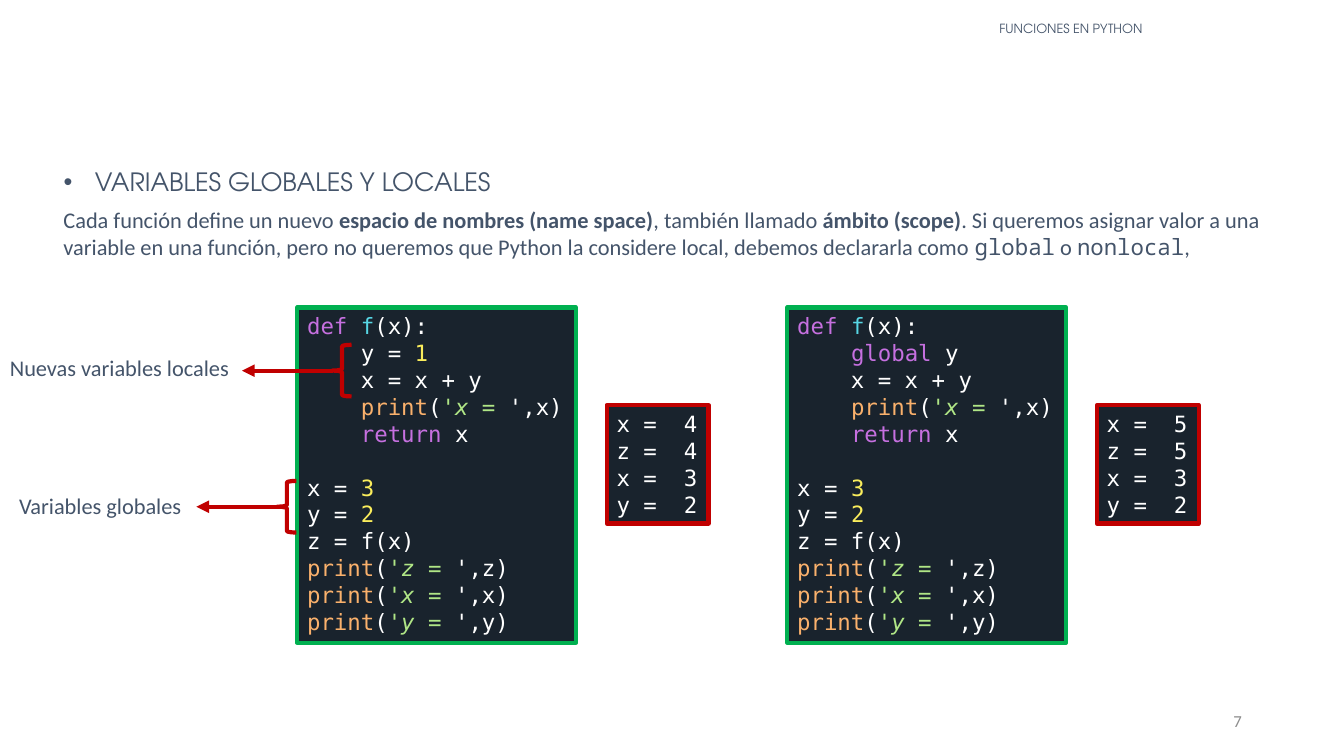
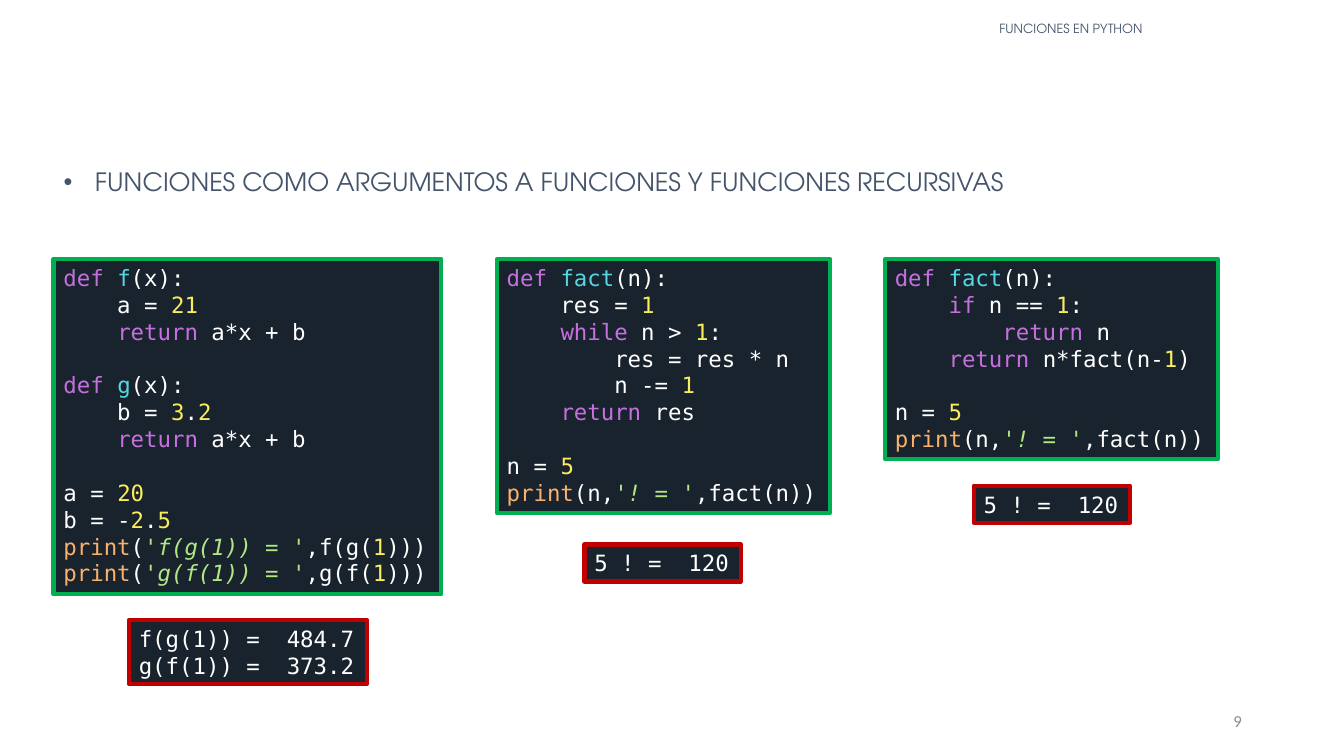
from lxml.etree import SubElement
from pptx import Presentation
from pptx.dml.color import RGBColor
from pptx.enum.shapes import MSO_CONNECTOR as Connector, MSO_SHAPE as Shape
from pptx.enum.text import MSO_ANCHOR as Anchor, MSO_AUTO_SIZE as AutoSize, PP_ALIGN as Align
from pptx.oxml.ns import qn
from pptx.util import Cm, Pt

COLORS = {
    "slate": "44546A", "gray": "8C8C8C", "night": "19232D", "white": "FFFFFF",
    "green": "00B050", "red": "C00000", "violet": "C670E0", "cyan": "57D6E4",
    "yellow": "FAED5C", "orange": "FAB16C", "lime": "B0E686",
}
HEADING, BODY, CODE = "TeX Gyre Adventor", "Calibri", "DejaVu Sans Mono"
STYLES = {
    "header": (HEADING, 9, "slate", False, False),
    "title": (HEADING, 18, "slate", False, False),
    "body": (BODY, 16, "slate", False, False),
    "strong": (BODY, 16, "slate", True, False),
    "mono": ("Noto Sans Mono", 16, "slate", False, False),
    "number": (BODY, 12, "gray", False, False),
    "w": (CODE, 16, "white", False, False),
    "k": (CODE, 16, "violet", False, False),
    "f": (CODE, 16, "cyan", False, False),
    "n": (CODE, 16, "yellow", False, False),
    "p": (CODE, 16, "orange", False, False),
    "s": (CODE, 16, "lime", False, True),
    "q": (CODE, 16, "white", False, True),
}
CHAR_WIDTH, LINE_HEIGHT = 0.343, 0.683
BLANK_LINE = Pt(19.2)


def write(frame, lines, align=Align.LEFT, wrap=True, anchor=Anchor.TOP):
    frame.word_wrap = wrap
    frame.auto_size = AutoSize.NONE
    frame.vertical_anchor = anchor
    gap = 0
    for line in lines:
        if not line:
            gap = BLANK_LINE
            continue
        paragraph = frame.add_paragraph() if frame.text else frame.paragraphs[0]
        paragraph.alignment = align
        paragraph.space_before = gap
        gap = 0
        for part in line.split("|"):
            style, _, text = part.partition(":")
            run = paragraph.add_run()
            run.text = text
            font = run.font
            font.name, size, color, font.bold, font.italic = STYLES[style]
            font.size = Pt(size)
            font.color.rgb = RGBColor.from_string(COLORS[color])


def add_panel(slide, lines, left, top, border):
    longest = max(sum(len(part.partition(":")[2]) for part in line.split("|")) for line in lines)
    panel = slide.shapes.add_textbox(
        Cm(left), Cm(top), Cm(longest * CHAR_WIDTH + 0.51), Cm(len(lines) * LINE_HEIGHT + 0.25))
    panel.fill.solid()
    panel.fill.fore_color.rgb = RGBColor.from_string(COLORS["night"])
    panel.line.color.rgb = RGBColor.from_string(COLORS[border])
    panel.line.width = Pt(3)
    write(panel.text_frame, lines, wrap=False)


def_f = "k:def |f:f|w:(x):"
scope_rest = [
    "w:    x = x + y", "w:    |p:print|w:(|s:'x = |q:'|w:,x)", "w:    |k:return|w: x", "",
    "w:x = |n:3", "w:y = |n:2", "w:z = f(x)",
    *[f"p:print|w:(|s:'{name} = |q:'|w:,{name})" for name in "zxy"],
]
local_code = [def_f, "w:    y = |n:1", *scope_rest]
global_code = [def_f, "w:    |k:global|w: y", *scope_rest]
local_output, global_output = [
    [f"w:x =  {result}", f"w:z =  {result}", "w:x =  3", "w:y =  2"] for result in (4, 5)]

return_sum = "w:    |k:return|w: a*x + b"
compose_code = [
    def_f, "w:    a = |n:21", return_sum, "",
    "k:def |f:g|w:(x):", "w:    b = |n:3|w:.|n:2", return_sum, "",
    "w:a = |n:20", "w:b = -|n:2|w:.|n:5",
    *[f"p:print|w:(|s:'{outer}({inner}(1)) = '|w:,{outer}({inner}(|n:1|w:)))"
      for outer, inner in ("fg", "gf")],
]
def_fact = "k:def |f:fact|w:(n):"
print_fact = ["", "w:n = |n:5", "p:print|w:(n,|s:'! = '|w:,fact(n))"]
loop_code = [
    def_fact, "w:    res = |n:1", "w:    |k:while|w: n > |n:1|w::",
    "w:        res = res * n", "w:        n -= |n:1", "w:    |k:return|w: res", *print_fact,
]
recursive_code = [
    def_fact, "w:    |k:if|w: n == |n:1|w::", "w:        |k:return |w:n",
    "w:    |k:return |w:n*fact(n-|n:1|w:)", *print_fact,
]
compose_output = ["w:f(g(1)) =  484.7", "w:g(f(1)) =  373.2"]
fact_output = ["w:5 ! =  120"]

topics = [
    ("VARIABLES GLOBALES Y LOCALES", 7, [
        (local_code, 7.49, 7.75, "green"), (local_output, 15.29, 10.21, "red"),
        (global_code, 19.84, 7.75, "green"), (global_output, 27.64, 10.21, "red")]),
    ("FUNCIONES COMO ARGUMENTOS A FUNCIONES Y FUNCIONES RECURSIVAS", 9, [
        (compose_code, 1.35, 6.53, "green"), (compose_output, 3.25, 15.62, "red"),
        (loop_code, 12.52, 6.53, "green"), (recursive_code, 22.3, 6.53, "green"),
        (fact_output, 14.73, 13.72, "red"), (fact_output, 24.54, 12.24, "red")]),
]

deck = Presentation()
deck.slide_width, deck.slide_height = Cm(33.87), Cm(19.05)

for heading, number, panels in topics:
    slide = deck.slides.add_slide(deck.slide_layouts[0])

    header = slide.placeholders[1]
    header.left, header.top, header.width, header.height = Cm(20.24), Cm(0.43), Cm(13.49), Cm(0.71)
    write(header.text_frame, ["header:FUNCIONES EN PYTHON"], Align.CENTER)
    header.text_frame.paragraphs[0].line_spacing = 0.9
    header.text_frame.paragraphs[0].space_before = Pt(10)

    title = slide.shapes.title
    title.left, title.top, title.width, title.height = Cm(1.35), Cm(4.06), Cm(31.17), Cm(1.02)
    write(title.text_frame, [f"title:{heading}"])
    bulleted = title.text_frame.paragraphs[0]._p.get_or_add_pPr()
    bulleted.set("marL", str(Cm(0.79)))
    bulleted.set("indent", str(Cm(-0.79)))
    SubElement(bulleted, qn("a:buFont")).set("typeface", "Arial")
    SubElement(bulleted, qn("a:buChar")).set("char", "•")

    for lines, left, top, border in panels:
        add_panel(slide, lines, left, top, border)

    page = slide.shapes.add_textbox(Cm(23.93), Cm(17.65), Cm(7.62), Cm(1.02))
    write(page.text_frame, [f"number:{number}"], Align.RIGHT, anchor=Anchor.MIDDLE)

scope = deck.slides[0].shapes
explanation = scope.add_textbox(Cm(1.35), Cm(5.08), Cm(31.17), Cm(1.63))
write(explanation.text_frame, [
    "body:Cada función define un nuevo |strong:espacio de nombres (name space)"
    "|body:, también llamado |strong:ámbito (scope)"
    "|body:. Si queremos asignar valor a una variable en una función, pero no queremos que "
    "Python la considere local, debemos declararla como |mono:global|body: o |mono:nonlocal|body:,"])

for caption, left, top, width, brace_left, brace_top, arrow_end in [
    ("Nuevas variables locales", 0, 8.81, 6.1, 8.38, 8.69, 6.1),
    ("Variables globales", 0.23, 12.27, 4.7, 6.99, 12.12, 4.95),
]:
    label = scope.add_textbox(Cm(left), Cm(top), Cm(width), Cm(0.94))
    write(label.text_frame, [f"body:{caption}"])

    brace = scope.add_shape(Shape.LEFT_BRACE, Cm(brace_left), Cm(brace_top), Cm(0.48), Cm(1.3))
    brace.shadow.inherit = False
    brace.fill.background()
    middle = Cm(brace_top + 0.65)
    arrow = scope.add_connector(Connector.STRAIGHT, Cm(brace_left), middle, Cm(arrow_end), middle)
    for stroke in (brace.line, arrow.line):
        stroke.color.rgb = RGBColor.from_string(COLORS["red"])
        stroke.width = Pt(3)
    SubElement(arrow.line._get_or_add_ln(), qn("a:tailEnd")).set("type", "triangle")
    SubElement(arrow._element.spPr, qn("a:effectLst"))

deck.save("out.pptx")
